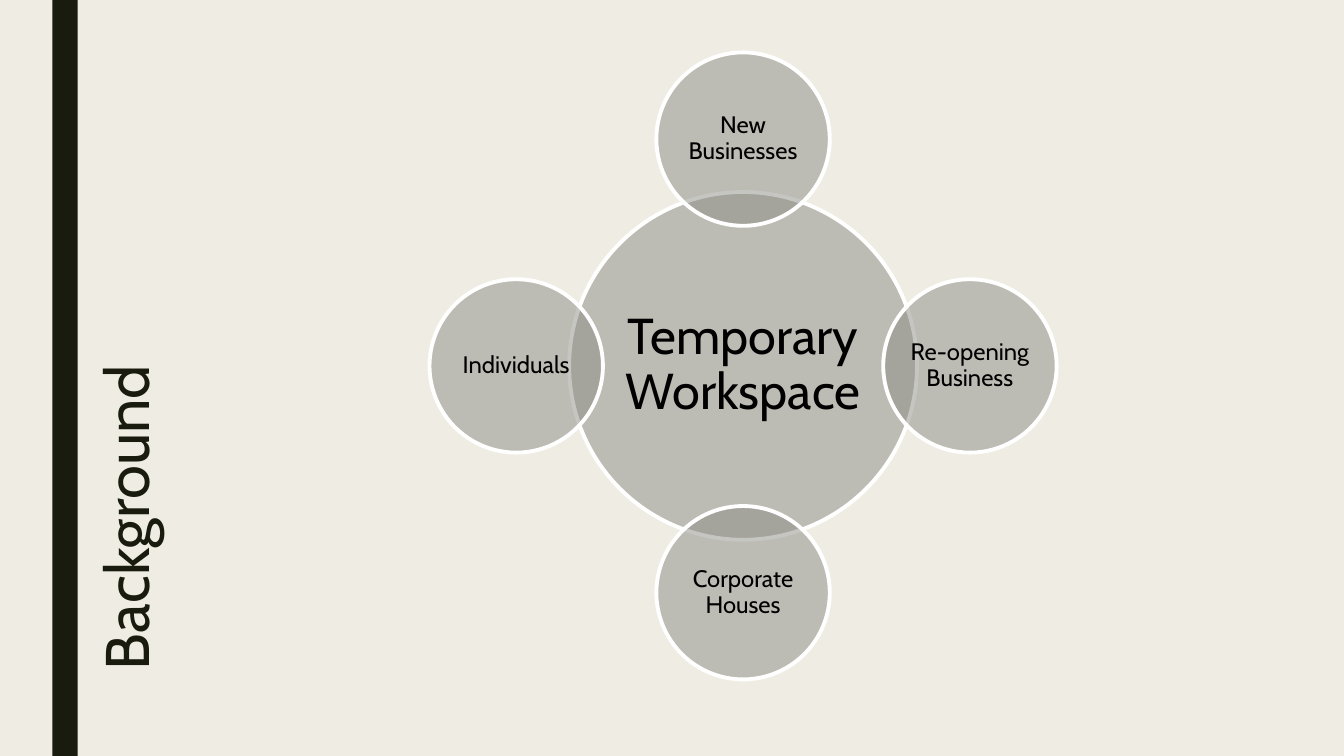
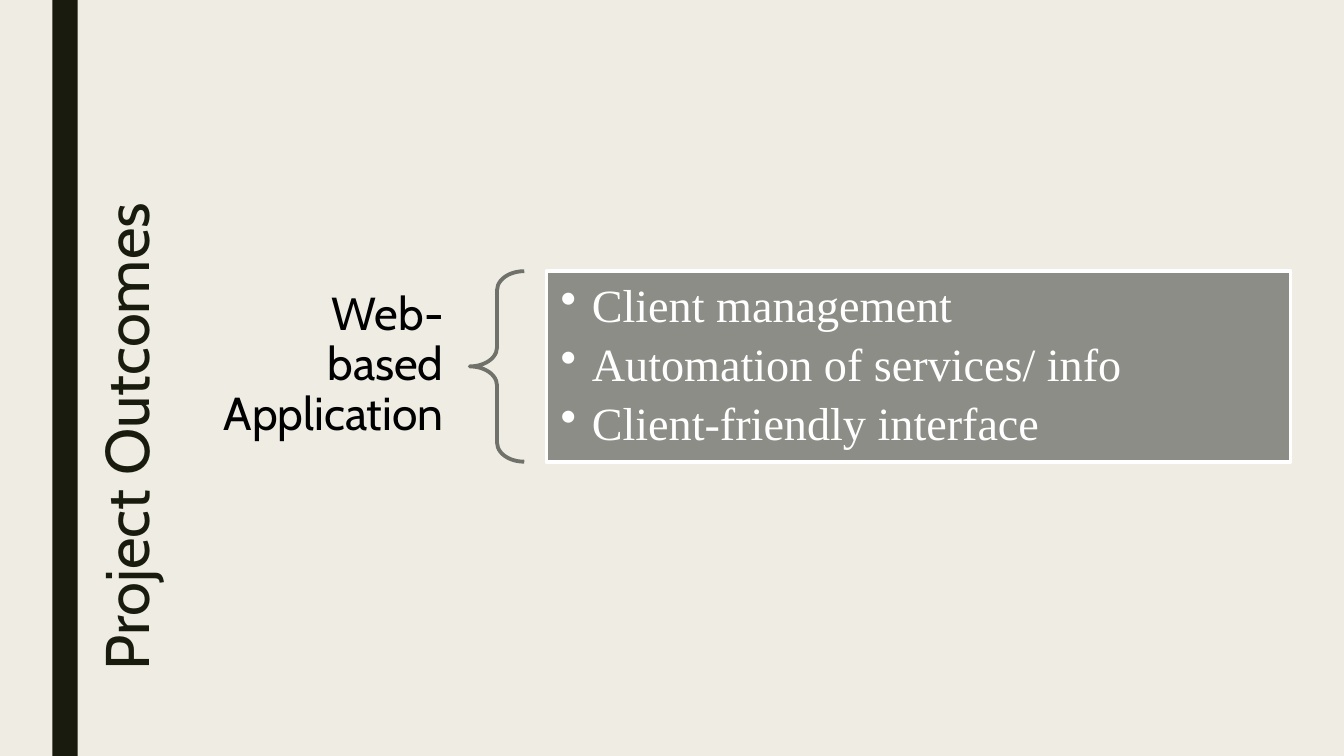
"""Build two slides on a temporary workspace project."""
from lxml import etree
from pptx import Presentation
from pptx.dml.color import RGBColor
from pptx.enum import shapes, text
from pptx.oxml.ns import qn
from pptx.util import Inches, Pt

HUES = {"paper": "EFEDE3", "ink": "191B0E", "grey": "8C8D86",
        "brace": "70716B", "white": "FFFFFF", "black": "000000"}
FONT = "Cabin"
KIND = shapes.MSO_SHAPE
SIDE = text.PP_ALIGN


def draw(slide, kind, box, fill=None, line=None):
    shape = slide.shapes.add_shape(kind, *map(Inches, box))
    shape.shadow.inherit = False
    if fill:
        shape.fill.solid()
        shape.fill.fore_color.rgb = RGBColor.from_string(HUES[fill])
    else:
        shape.fill.background()
    if line:
        shape.line.color.rgb = RGBColor.from_string(HUES[line])
        shape.line.width = Pt(2.75)
    else:
        shape.line.fill.background()
    return shape


def write(shape, lines, size, hue, pads, side, font=FONT, bullet=None,
          gap=0, lead=0.9, anchor=text.MSO_ANCHOR.MIDDLE):
    frame = shape.text_frame
    frame.word_wrap = True
    frame.auto_size = text.MSO_AUTO_SIZE.NONE
    frame.vertical_anchor = anchor
    frame.margin_left = frame.margin_right = Inches(pads[0])
    frame.margin_top = frame.margin_bottom = Inches(pads[1])
    for i, line in enumerate(lines):
        para = frame.add_paragraph() if i else frame.paragraphs[0]
        para.alignment = side
        para.line_spacing = lead
        para.space_before = Pt(0)
        para.space_after = Pt(gap)
        if bullet:
            props = para._p.get_or_add_pPr()
            props.set("marL", str(Inches(0.31)))
            props.set("indent", str(-Inches(0.31)))
            etree.SubElement(props, qn("a:buChar")).set("char", bullet)
        run = para.add_run()
        run.text = line
        run.font.size = Pt(size)
        run.font.name = font
        run.font.color.rgb = RGBColor.from_string(HUES[hue])


deck = Presentation()
deck.slide_width, deck.slide_height = Inches(13.33), Inches(7.5)
layout = deck.slide_layouts[5]
back = deck.slide_master.background.fill
back.solid()
back.fore_color.rgb = RGBColor.from_string(HUES["paper"])

pages = []
for name in ["Background", "Project Outcomes"]:
    page = deck.slides.add_slide(layout)
    draw(page, KIND.RECTANGLE, (0.52, 0, 0.25, 7.5), "ink")
    title = page.shapes.title
    title.left, title.top = Inches(-1.77), Inches(3.2)
    title.width, title.height = Inches(6.23), Inches(0.87)
    title.rotation = 270
    write(title, [name], 44, "ink", (0.1, 0.05), SIDE.LEFT, lead=0.89,
          anchor=text.MSO_ANCHOR.TOP)
    pages.append(page)
first, second = pages

mid_x, mid_y, reach = 7.37, 3.63, 2.25
circles = [("Temporary Workspace", 0, 0, 3.45, 36, 0.05),
           ("New Businesses", 0, -1, 1.72, 17, 0.02),
           ("Re-opening Business", 1, 0, 1.72, 17, 0.02),
           ("Corporate Houses", 0, 1, 1.72, 17, 0.02),
           ("Individuals", -1, 0, 1.72, 17, 0.02)]
for label, dx, dy, size, points, pad in circles:
    box = (mid_x + dx * reach - size / 2, mid_y + dy * reach - size / 2,
           size, size)
    disc = draw(first, KIND.OVAL, box, "grey", "white")
    tint = disc.fill._xPr.find(qn("a:solidFill"))[0]
    etree.SubElement(tint, qn("a:alpha")).set("val", "50000")
    write(disc, [label], points, "black", (pad, pad), SIDE.CENTER)

label = second.shapes.add_textbox(*map(Inches, (1.95, 3.06, 2.71, 1.14)))
write(label, ["Web-based Application"], 33, "black", (0.26, 0.09), SIDE.RIGHT)
brace = draw(second, KIND.LEFT_BRACE, (4.66, 2.69, 0.54, 1.89), line="brace")
brace.adjustments[0] = 0.35
panel = draw(second, KIND.RECTANGLE, (5.42, 2.69, 7.38, 1.89), "grey", "white")
write(panel, ["Client management", "Automation of services/ info",
              "Client-friendly interface"], 33, "white", (0.14, 0.14),
      SIDE.LEFT, "Times New Roman", "•", 6.5)

deck.save("out.pptx")
